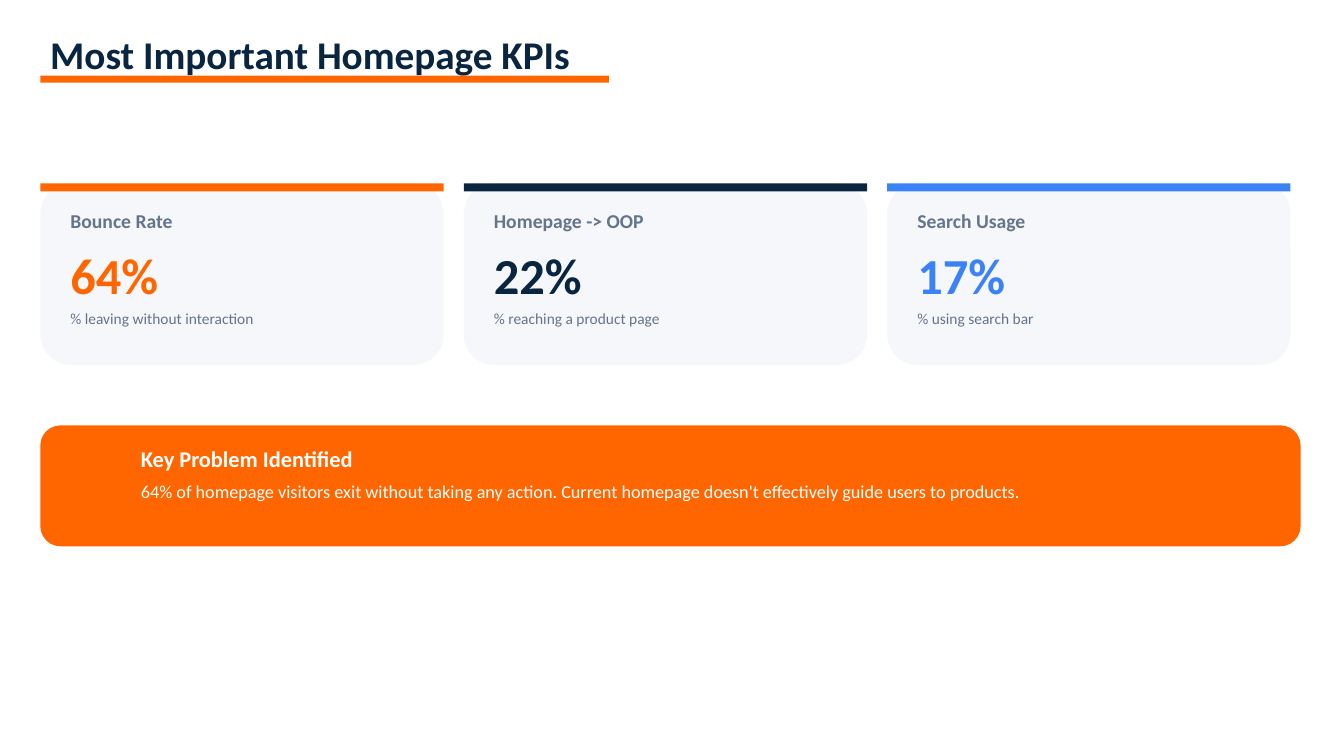
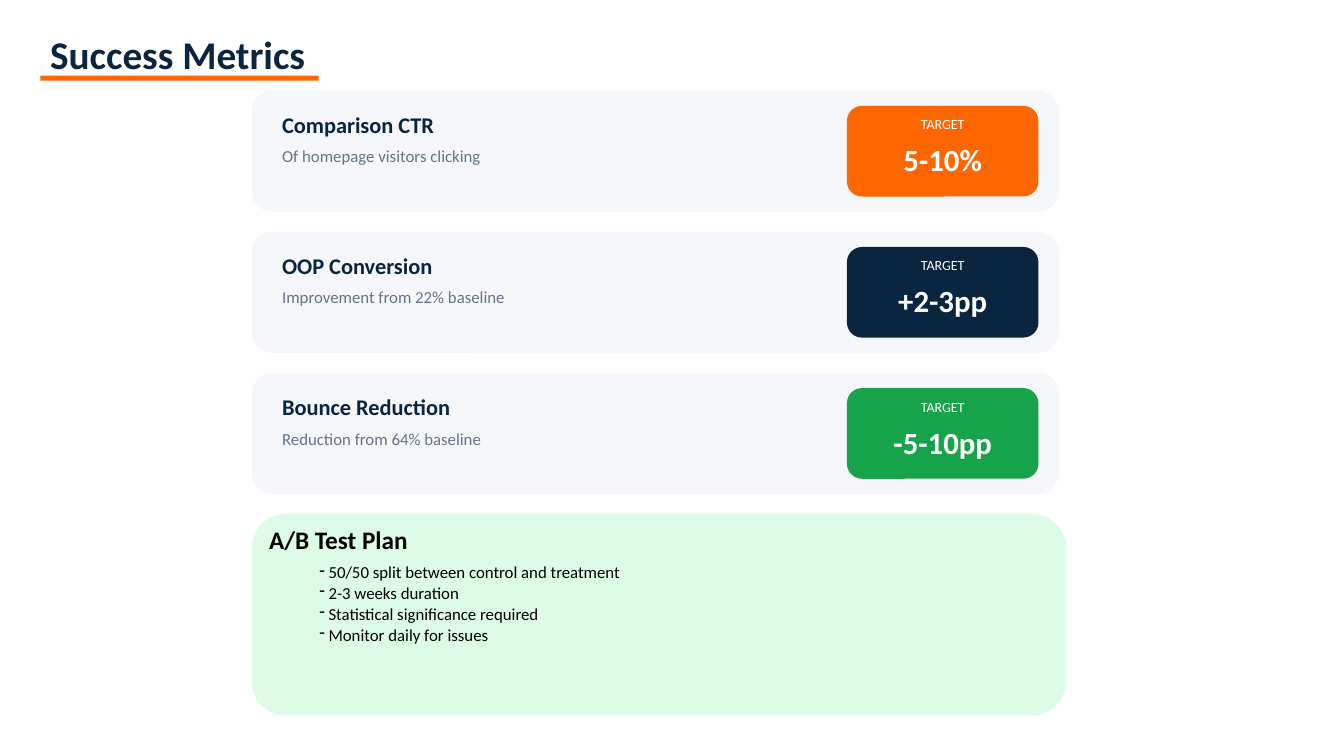
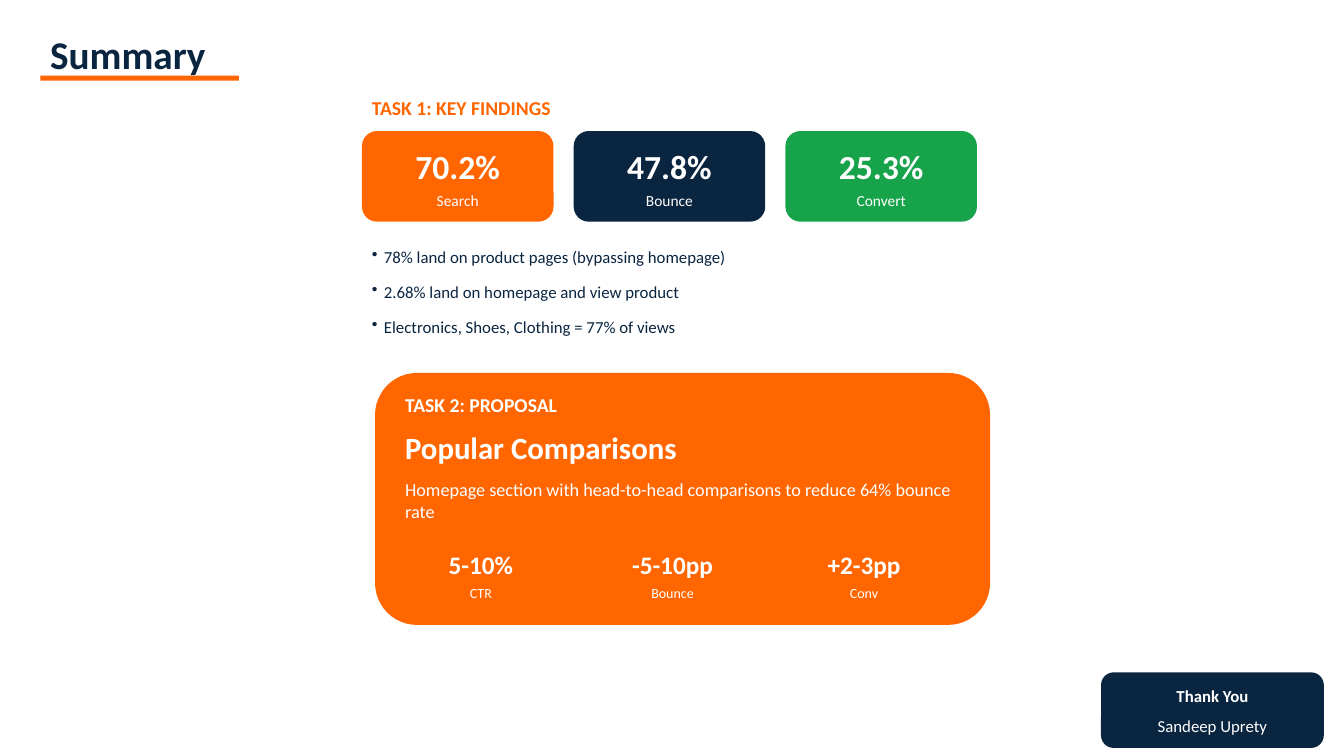
import pptx
import pptx.dml.color
import pptx.enum.shapes
import pptx.enum.text
import pptx.util
from lxml import etree

COLORS = {
    "navy": "0A2540", "orange": "FF6600", "blue": "3B82F6", "green": "16A34A",
    "mint": "DCFCE7", "panel": "F5F7FA", "slate": "64748B",
    "white": "FFFFFF", "black": "000000",
}
FONT = "Calibri"
SHAPES = pptx.enum.shapes.MSO_SHAPE
ALIGN = pptx.enum.text.PP_ALIGN


def grid(cells):
    """Ten columns or rows to the inch."""
    return pptx.util.Inches(cells / 10)


class Deck:
    """Shared style and the current slide; lengths are grid columns and rows."""

    def __init__(self):
        self.prs = pptx.Presentation()
        self.prs.slide_width = grid(133.3)
        self.prs.slide_height = grid(75)
        self.slide = None

    def new_slide(self, title, line_cols, line_rows=0.5):
        self.slide = self.prs.slides.add_slide(self.prs.slide_layouts[6])
        fill = self.slide.background.fill
        fill.solid()
        fill.fore_color.rgb = pptx.dml.color.RGBColor.from_string(COLORS["white"])
        self.text(4, 2.5, 120, title, 28, "navy", bold=True)
        self.panel(4, 7.5, line_cols, line_rows, "orange", SHAPES.RECTANGLE)

    def panel(self, col, row, cols, rows, color, kind=SHAPES.ROUNDED_RECTANGLE):
        panel = self.slide.shapes.add_shape(
            kind, grid(col), grid(row), grid(cols), grid(rows))
        panel.shadow.inherit = False
        panel.fill.solid()
        panel.fill.fore_color.rgb = pptx.dml.color.RGBColor.from_string(COLORS[color])
        panel.line.fill.background()

    def style(self, paragraph, size, color, bold=False):
        for run in paragraph.runs:
            run.font.name = FONT
            run.font.size = pptx.util.Pt(size)
            run.font.bold = bold
            run.font.color.rgb = pptx.dml.color.RGBColor.from_string(COLORS[color])

    def text(self, col, row, cols, words, size, color, bold=False, align=ALIGN.LEFT):
        line_rows = 1 + size / 6
        box = self.slide.shapes.add_textbox(
            grid(col), grid(row), grid(cols), grid(line_rows))
        frame = box.text_frame
        frame.word_wrap = True
        frame.text = words
        frame.paragraphs[0].alignment = align
        self.style(frame.paragraphs[0], size, color, bold)
        return frame

    def bullets(self, frame, items, color, mark, indent, hang, gap):
        """Add a hanging list to a frame, after any heading it holds."""
        for item in items:
            started = bool(frame.text)
            paragraph = frame.add_paragraph() if started else frame.paragraphs[0]
            paragraph.text = item
            paragraph.space_after = pptx.util.Pt(gap)
            self.style(paragraph, 12, color)
            props = paragraph._p.get_or_add_pPr()
            props.set("marL", str(grid(indent + hang)))
            props.set("indent", str(-grid(hang)))
            bullet = etree.SubElement(props, pptx.oxml.ns.qn("a:buChar"))
            bullet.set("char", mark)

    def centred(self, col, row, cols, lines):
        """White centred lines, each given as (row offset, words, size, bold)."""
        for offset, words, size, bold in lines:
            self.text(col, row + offset, cols, words, size, "white", bold, ALIGN.CENTER)

    def badge(self, col, row, cols, rows, color, lines):
        self.panel(col, row, cols, rows, color)
        self.centred(col, row, cols, lines)

    def kpi_card(self, col, row, name, value, note, color):
        self.panel(col, row, 40, 18, "panel")
        self.panel(col, row, 40, 0.8, color, SHAPES.RECTANGLE)
        self.text(col + 2, row + 2, 36, name, 14, "slate", bold=True)
        self.text(col + 2, row + 5.5, 36, value, 36, color, bold=True)
        self.text(col + 2, row + 12, 36, note, 11, "slate")

    def metric_row(self, col, row, name, note, target, color):
        self.panel(col, row, 80, 12, "panel")
        self.text(col + 2, row + 1.5, 50, name, 16, "navy", bold=True)
        self.text(col + 2, row + 5, 50, note, 12, "slate")
        self.badge(col + 59, row + 1.5, 19, 9, color,
                   [(0.5, "TARGET", 10, False), (3, target, 22, True)])


def kpi_slide(deck):
    deck.new_slide("Most Important Homepage KPIs", 56.4, 0.7)
    kpis = [
        ("Bounce Rate", "64%", "% leaving without interaction", "orange"),
        ("Homepage -> OOP", "22%", "% reaching a product page", "navy"),
        ("Search Usage", "17%", "% using search bar", "blue"),
    ]
    for i, kpi in enumerate(kpis):
        deck.kpi_card(4 + 42 * i, 18.2, *kpi)

    # Key problem banner
    deck.panel(4, 42.2, 125, 12, "orange")
    deck.text(13, 43.7, 110, "Key Problem Identified", 16, "white", bold=True)
    deck.text(13, 47.2, 110, "64% of homepage visitors exit without taking any action. "
              "Current homepage doesn't effectively guide users to products.", 13, "white")


def metrics_slide(deck):
    deck.new_slide("Success Metrics", 27.6)
    metrics = [
        ("Comparison CTR", "Of homepage visitors clicking", "5-10%", "orange"),
        ("OOP Conversion", "Improvement from 22% baseline", "+2-3pp", "navy"),
        ("Bounce Reduction", "Reduction from 64% baseline", "-5-10pp", "green"),
    ]
    for i, metric in enumerate(metrics):
        deck.metric_row(25, 9 + 14 * i, *metric)

    # Test plan
    deck.panel(25, 51, 80.7, 20, "mint")
    plan = deck.text(25.7, 51.5, 62.3, "A/B Test Plan", 18, "black", bold=True)
    plan.paragraphs[0].space_after = pptx.util.Pt(5.5)
    deck.bullets(plan, ["50/50 split between control and treatment", "2-3 weeks duration",
                        "Statistical significance required", "Monitor daily for issues"],
                 "black", "-", indent=5, hang=0.9, gap=0.5)


def summary_slide(deck):
    deck.new_slide("Summary", 19.7)

    # Findings
    deck.text(35.9, 9, 60, "TASK 1: KEY FINDINGS", 14, "orange", bold=True)
    findings = [("70.2%", "Search", "orange"), ("47.8%", "Bounce", "navy"),
                ("25.3%", "Convert", "green")]
    for i, (value, name, color) in enumerate(findings):
        deck.badge(35.9 + 21 * i, 13, 19, 9, color,
                   [(1, value, 24, True), (5.5, name, 11, False)])
    details = deck.text(35.9, 24, 60, "", 12, "navy")
    deck.bullets(details, ["78% land on product pages (bypassing homepage)",
                           "2.68% land on homepage and view product",
                           "Electronics, Shoes, Clothing = 77% of views"],
                 "navy", "•", indent=0, hang=1.2, gap=10.5)

    # Proposal
    deck.panel(37.2, 37, 61, 25, "orange")
    deck.text(39.2, 38.5, 57, "TASK 2: PROPOSAL", 14, "white", bold=True)
    deck.text(39.2, 42, 57, "Popular Comparisons", 22, "white", bold=True)
    deck.text(39.2, 47, 57, "Homepage section with head-to-head comparisons "
              "to reduce 64% bounce rate", 13, "white")
    goals = [("5-10%", "CTR"), ("-5-10pp", "Bounce"), ("+2-3pp", "Conv")]
    for i, (value, name) in enumerate(goals):
        deck.centred(38.2 + 19 * i, 54, 19, [(0, value, 18, True), (3.5, name, 10, False)])

    # Sign-off
    deck.badge(109.2, 66.7, 22.1, 7.5, "navy",
               [(0.8, "Thank You", 12, True), (3.8, "Sandeep Uprety", 12, False)])


def main():
    deck = Deck()
    kpi_slide(deck)
    metrics_slide(deck)
    summary_slide(deck)
    deck.prs.save("out.pptx")


if __name__ == "__main__":
    main()
